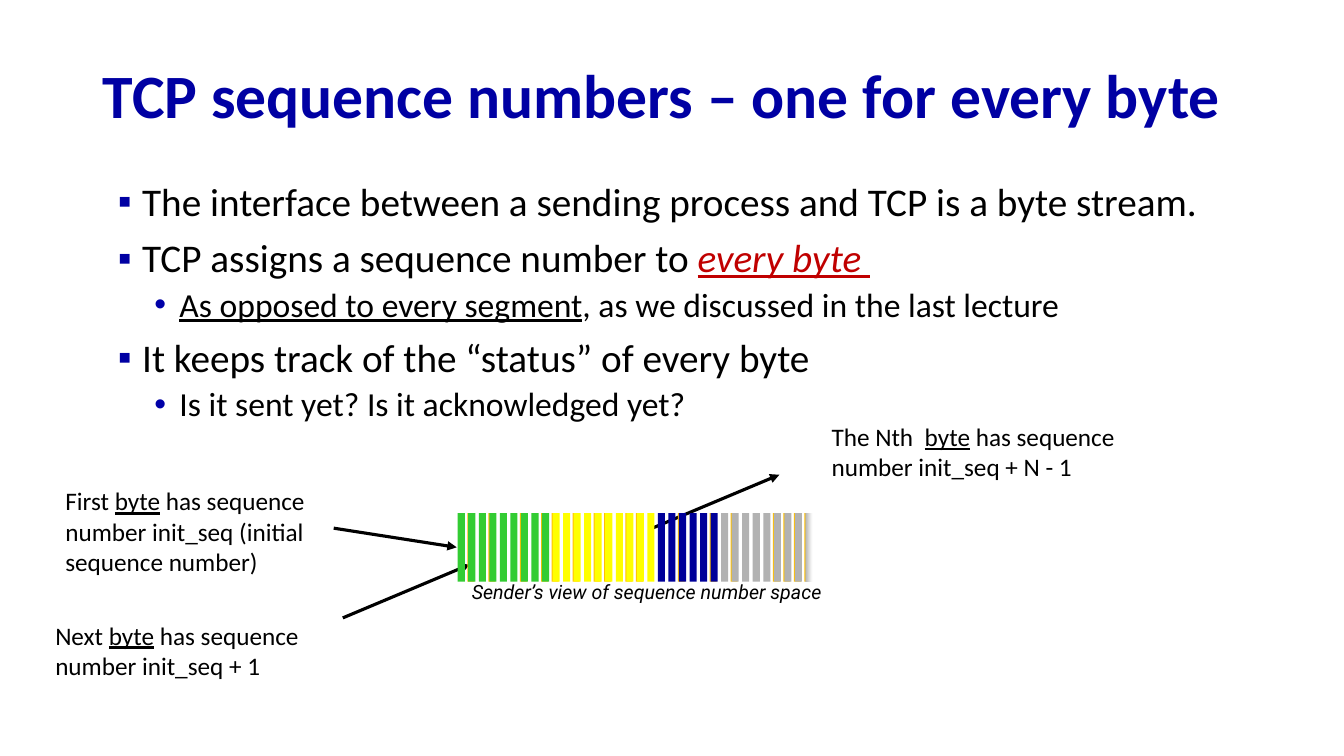
from lxml import etree
from pptx import Presentation
from pptx.dml.color import RGBColor
from pptx.enum.shapes import MSO_CONNECTOR, MSO_SHAPE
from pptx.enum.text import MSO_ANCHOR, MSO_AUTO_SIZE, PP_ALIGN
from pptx.oxml.ns import qn
from pptx.util import Inches, Pt

STRAIGHT = MSO_CONNECTOR.STRAIGHT
RECTANGLE = MSO_SHAPE.RECTANGLE
MIDDLE, TOP = MSO_ANCHOR.MIDDLE, MSO_ANCHOR.TOP
NO_AUTOFIT = MSO_AUTO_SIZE.NONE
LEFT, CENTER = PP_ALIGN.LEFT, PP_ALIGN.CENTER

COLORS = {
    "title": "0000A3", "bullet": "0000A3", "sub_bullet": "0000A8",
    "text": "000000", "emphasis": "C00000", "amber": "FFC000",
    "green": "33CC33", "yellow": "FFFF00", "blue": "000099",
    "grey": "B2B2B2", "white": "FFFFFF",
}


def color(name):
    return RGBColor.from_string(COLORS[name])


def add_run(paragraph, text, size, ink="text", font="Calibri",
            bold=False, italic=False, underline=False):
    run = paragraph.add_run()
    run.text = text
    run.font.name = font
    run.font.size = Pt(size)
    run.font.color.rgb = color(ink)
    run.font.bold = bold
    run.font.italic = italic
    run.font.underline = underline


prs = Presentation()
prs.slide_width, prs.slide_height = Inches(13.33), Inches(7.5)
slide = prs.slides.add_slide(prs.slide_layouts[1])
shapes = slide.shapes

# Title
title = shapes.title
title.left, title.top = Inches(0.92), Inches(0.49)
title.width, title.height = Inches(11.5), Inches(0.98)
title.text_frame.auto_size = NO_AUTOFIT
title.text_frame.vertical_anchor = MIDDLE
heading = title.text_frame.paragraphs[0]
heading.alignment = LEFT
heading.line_spacing = 0.9
add_run(heading, "TCP sequence numbers – one for every byte", 44, "title", bold=True)

# Bullet list: level, then runs of text and formatting
points = [
    (0, [("The interface between a sending process and TCP is a byte stream.", {})]),
    (0, [("TCP assigns a sequence number to ", {}),
         ("every byte ", {"ink": "emphasis", "italic": True, "underline": True})]),
    (1, [("As opposed to every segment", {"underline": True}),
         (", as we discussed in the last lecture", {})]),
    (0, [("It keeps track of the “status” of every byte", {})]),
    (1, [("Is it sent yet? Is it acknowledged yet?", {})]),
]
# Per level: size, space before, left margin, indent, bullet, bullet colour
level_styles = [
    (28, 10, 0.39, -0.24, "▪", "bullet"),
    (24, 5, 0.76, -0.25, "•", "sub_bullet"),
]
body = slide.placeholders[1]
body.left, body.top = Inches(0.92), Inches(1.76)
body.width, body.height = Inches(11.5), Inches(2.78)
body.text_frame.auto_size = NO_AUTOFIT
body.text_frame.vertical_anchor = TOP
for number, (level, runs) in enumerate(points):
    size, space, margin, indent, bullet, bullet_color = level_styles[level]
    point = (body.text_frame.add_paragraph() if number
             else body.text_frame.paragraphs[0])
    point.level = level
    point.line_spacing = 0.9
    point.space_before = Pt(space)
    properties = point._p.get_or_add_pPr()
    properties.set("marL", str(Inches(margin)))
    properties.set("indent", str(Inches(indent)))
    tint = etree.SubElement(properties, qn("a:buClr"))
    etree.SubElement(tint, qn("a:srgbClr"), val=COLORS[bullet_color])
    etree.SubElement(properties, qn("a:buFont"), typeface="Arial")
    etree.SubElement(properties, qn("a:buChar"), char=bullet)
    for text, formatting in runs:
        add_run(point, text, size, **formatting)

# Notes on single bytes, each with its arrow
byte_notes = [
    ((0.55, 4.77, 1.01), "First ", " has sequence number init_seq (initial sequence number)",
     (3.31, 5.24, 4.53, 5.43)),
    ((0.45, 6.1, 0.71), "Next ", " has sequence number init_seq + 1",
     (3.4, 6.13, 4.66, 5.6)),
    ((8.15, 4.13, 0.71), "The Nth  ", " has sequence number init_seq + N - 1",
     (6.47, 5.24, 7.73, 4.71)),
]
for (left, top, height), before, after, ends in byte_notes:
    arrow = shapes.add_connector(STRAIGHT, *[Inches(end) for end in ends])
    arrow.line.color.rgb = color("text")
    arrow.line.width = Pt(2.25)
    etree.SubElement(arrow.line._get_or_add_ln(), qn("a:tailEnd"), type="triangle")
    etree.SubElement(arrow._element.spPr, qn("a:effectLst"))

    note = shapes.add_textbox(Inches(left), Inches(top), Inches(3.34), Inches(height))
    note.text_frame.word_wrap = True
    sentence = note.text_frame.paragraphs[0]
    add_run(sentence, before, 18)
    add_run(sentence, "byte", 18, underline=True)
    add_run(sentence, after, 18)

# Sequence number space: amber bars peek out behind the coloured ones
BAR_LEFT, BAR_TOP, BAR_STEP = 4.54, 5.09, 0.1045
amber_slots = [1, 3, 6, 8, 9, 11, 13, 14, 16, 17, 21, 24, 26, 30, 31, 32, 33]
byte_states = ["green"] * 9 + ["yellow"] * 10 + ["blue"] * 6 + ["grey"] * 9
bars = [(slot, "amber", -0.01) for slot in amber_slots]
bars += [(slot, state, 0) for slot, state in enumerate(byte_states)]
for slot, state, shift in bars:
    bar = shapes.add_shape(RECTANGLE, Inches(BAR_LEFT + slot * BAR_STEP + shift),
                           Inches(BAR_TOP), Inches(0.07), Inches(0.68))
    bar.shadow.inherit = False
    bar.line.fill.background()
    bar.fill.solid()
    bar.fill.fore_color.rgb = color(state)

# The last byte fades out
bar.fill.gradient()
bar.fill.gradient_angle = 0
for stop, shade in zip(bar.fill.gradient_stops, ["grey", "white"]):
    stop.color.rgb = color(shade)

caption = shapes.add_textbox(Inches(4.52), Inches(5.7), Inches(3.84), Inches(0.34))
caption.text_frame.word_wrap = False
caption_line = caption.text_frame.paragraphs[0]
caption_line.alignment = CENTER
add_run(caption_line, "Sender’s view of sequence number space ", 14,
        font="Roboto", italic=True)

prs.save("out.pptx")
